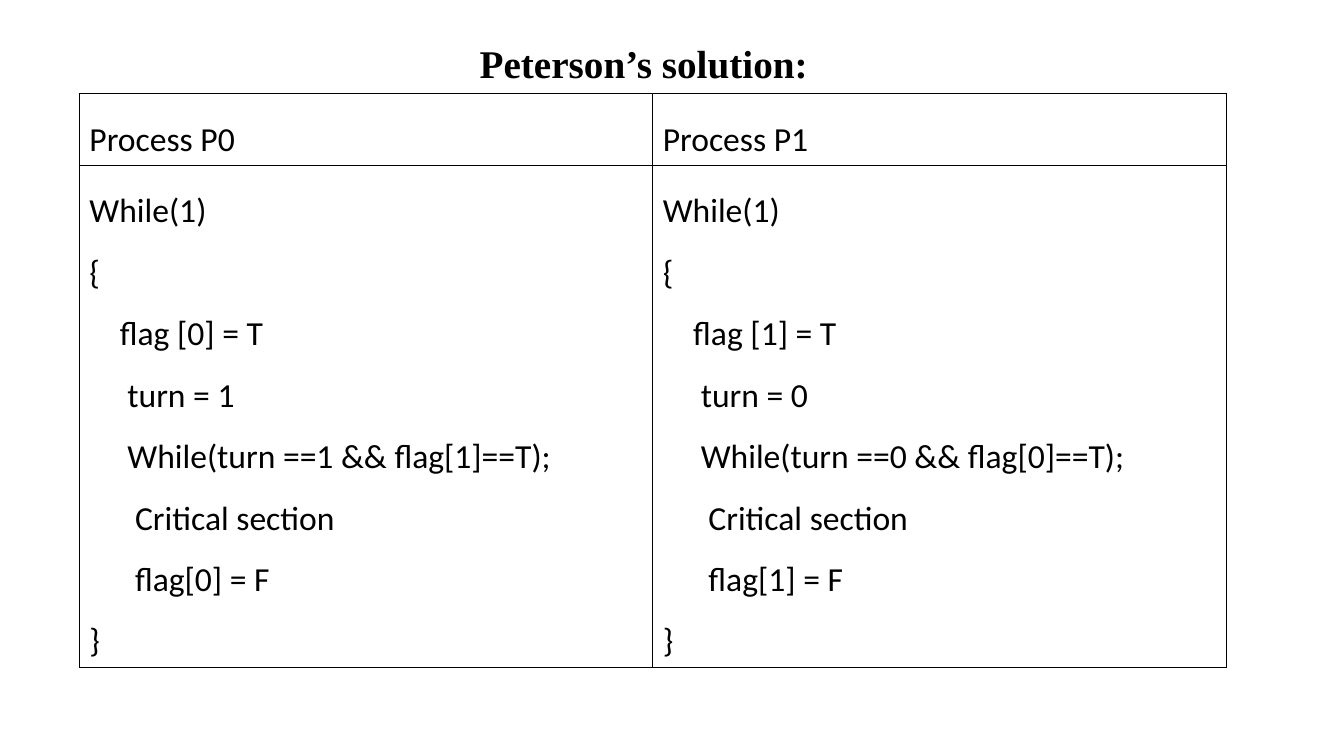
from lxml.etree import SubElement
from pptx import Presentation
from pptx.dml.color import RGBColor
from pptx.enum.text import MSO_ANCHOR, PP_ALIGN
from pptx.oxml.ns import qn
from pptx.util import Cm, Pt

BLACK, WHITE = "000000", "FFFFFF"


def color(value):
    return RGBColor.from_string(value)


def write_text(text_frame, text, size=24, font="Calibri", bold=False,
               fill=BLACK, align=PP_ALIGN.LEFT, spacing=1.5):
    for index, line in enumerate(text.split("\n")):
        paragraph = text_frame.paragraphs[0] if index == 0 else text_frame.add_paragraph()
        paragraph.alignment = align
        paragraph.line_spacing = spacing
        run = paragraph.add_run()
        run.text = line
        run.font.size = Pt(size)
        run.font.name = font
        run.font.bold = bold
        run.font.color.rgb = color(fill)


def draw_borders(cell, line_color=BLACK, width=1):
    properties = cell._tc.get_or_add_tcPr()
    for position, side in enumerate(("lnL", "lnR", "lnT", "lnB")):
        line = properties.makeelement(qn(f"a:{side}"), {"w": str(Pt(width))})
        solid = SubElement(line, qn("a:solidFill"))
        SubElement(solid, qn("a:srgbClr"), val=line_color)
        properties.insert(position, line)


def process_code(own, other):
    return f"""While(1)
{{
    flag [{own}] = T
     turn = {other}
     While(turn =={other} && flag[{other}]==T);
      Critical section
      flag[{own}] = F
}}"""


def add_title(slide, left, top, width, height):
    shape = slide.shapes.add_textbox(left, top, width, height)
    shape.text_frame.word_wrap = True
    write_text(shape.text_frame, "Peterson’s solution:", size=28,
               font="Times New Roman", bold=True, align=PP_ALIGN.JUSTIFY)


def add_process_table(slide, left, top, width, height, header_height):
    rows = [["Process P0", "Process P1"], [process_code(0, 1), process_code(1, 0)]]
    table = slide.shapes.add_table(2, 2, left, top, width, height).table
    table.first_row = table.horz_banding = False
    table.rows[0].height = header_height
    table.rows[1].height = height - header_height
    for row_index, row in enumerate(rows):
        for column_index, text in enumerate(row):
            cell = table.cell(row_index, column_index)
            cell.vertical_anchor = MSO_ANCHOR.TOP
            cell.fill.solid()
            cell.fill.fore_color.rgb = color(WHITE)
            draw_borders(cell)
            write_text(cell.text_frame, text)


def main():
    presentation = Presentation()
    presentation.slide_width = Cm(33.87)
    presentation.slide_height = Cm(19.05)
    slide = presentation.slides.add_slide(presentation.slide_layouts[6])
    add_process_table(slide, Cm(2), Cm(2.36), Cm(28.9), Cm(14.4), Cm(1.8))
    add_title(slide, Cm(11.84), Cm(0.28), Cm(9.12), Cm(1.83))
    presentation.save("out.pptx")


if __name__ == "__main__":
    main()
